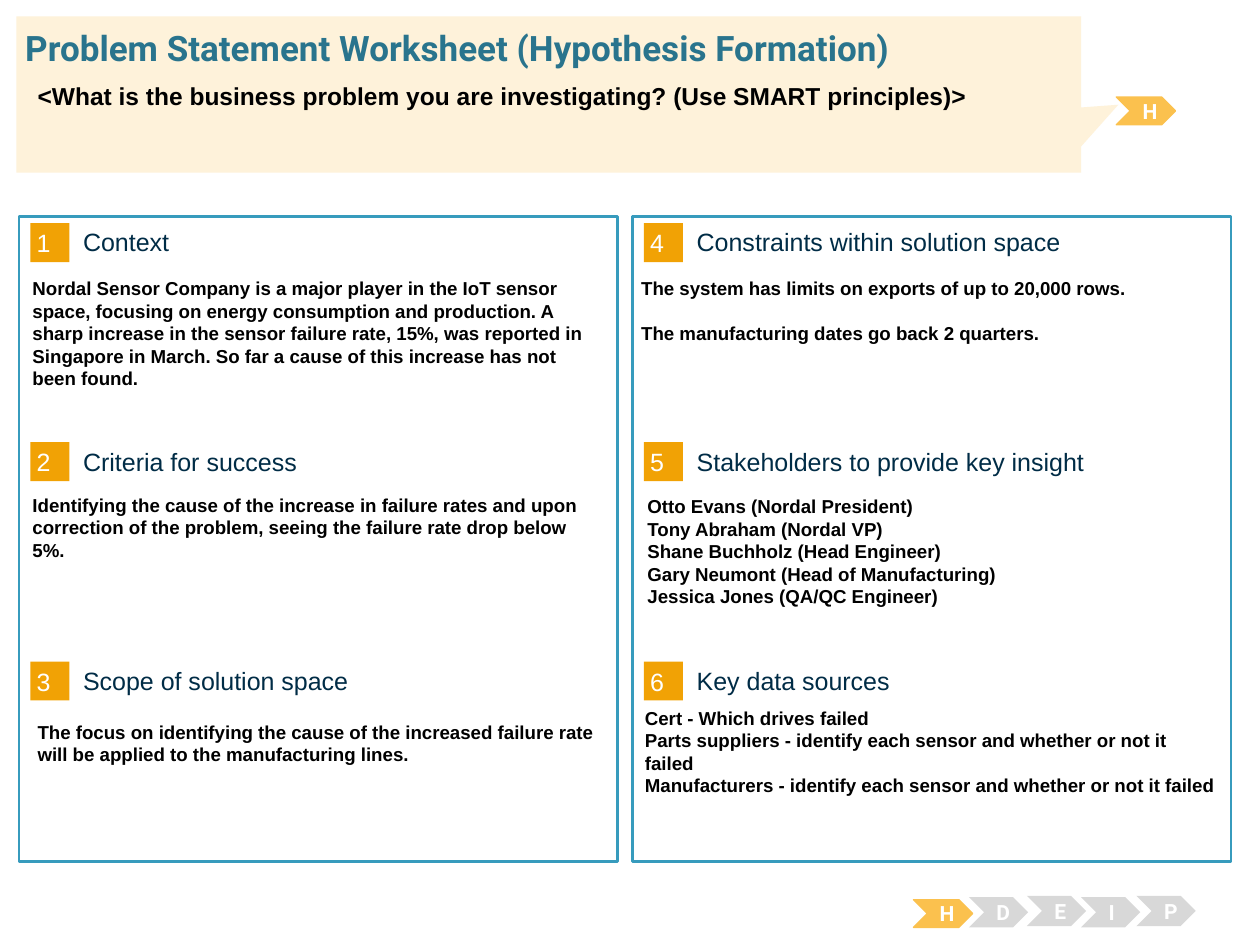
"""Build the problem statement worksheet slide."""
from dataclasses import dataclass

import pptx
import pptx.dml.color
import pptx.enum.shapes
import pptx.enum.text
import pptx.util

Inches = pptx.util.Inches
Shape = pptx.enum.shapes.MSO_SHAPE
Anchor = pptx.enum.text.MSO_ANCHOR
Align = pptx.enum.text.PP_ALIGN


@dataclass(frozen=True)
class Theme:
    body_font: str = "Arial"
    display_font: str = "Roboto"
    title: str = "29748D"
    heading: str = "002C46"
    text: str = "000000"
    white: str = "FFFFFF"
    frame: str = "379BBD"
    badge: str = "F1A205"
    active: str = "FBC14E"
    inactive: str = "D8D8D8"
    callout: str = "FEF2DA"
    title_size: float = 20
    question_size: float = 14
    heading_size: float = 14.3
    body_size: float = 10.7
    step_size: float = 12


THEME = Theme()
COLUMN_LEFTS = (0.15, 5.02)
ROW_TOPS = (1.77, 3.51, 5.25)
HEADINGS = (
    ("Context", "Criteria for success", "Scope of solution space"),
    ("Constraints within solution space", "Stakeholders to provide key insight",
     "Key data sources"),
)
ANSWERS = (
    (0.16, 2.15, 1.36, 0, (
        "Nordal Sensor Company is a major player in the IoT sensor space, focusing on "
        "energy consumption and production. A sharp increase in the sensor failure rate, "
        "15%, was reported in Singapore in March. So far a cause of this increase has not "
        "been found.",)),
    (0.16, 3.87, 1.54, 0, (
        "Identifying the cause of the increase in failure rates and upon correction of the "
        "problem, seeing the failure rate drop below 5%.",)),
    (0.2, 5.67, 0.82, 0, (
        "The focus on identifying the cause of the increased failure rate will be applied "
        "to the manufacturing lines.",)),
    (4.99, 2.15, 1.18, 12.8, (
        "The system has limits on exports of up to 20,000 rows.",
        "The manufacturing dates go back 2 quarters.")),
    (5.04, 3.88, 1.18, 0, (
        "Otto Evans (Nordal President)",
        "Tony Abraham (Nordal VP)",
        "Shane Buchholz (Head Engineer)",
        "Gary Neumont (Head of Manufacturing)",
        "Jessica Jones (QA/QC Engineer)")),
    (5.02, 5.56, 1.18, 0, (
        "Cert - Which drives failed",
        "Parts suppliers - identify each sensor and whether or not it failed",
        "Manufacturers - identify each sensor and whether or not it failed")),
)
STEPS = (("D", 7.69, 7.12), ("E", 8.15, 7.11), ("I", 8.58, 7.12), ("P", 9.02, 7.11))


def rgb(value):
    """Turn a hex string into a colour."""
    return pptx.dml.color.RGBColor.from_string(value)


def write(box, lines, size, color, font=THEME.body_font, bold=False, align=Align.LEFT,
          anchor=Anchor.TOP, inset=None, gap=0):
    """Fill a box with one formatted paragraph per line."""
    frame = box.text_frame
    frame.word_wrap = True
    frame.auto_size = pptx.enum.text.MSO_AUTO_SIZE.NONE
    frame.vertical_anchor = anchor
    if inset is not None:
        frame.margin_left = frame.margin_right = Inches(inset)
        frame.margin_top = frame.margin_bottom = Inches(inset)
    for index, line in enumerate(lines):
        para = frame.add_paragraph() if index else frame.paragraphs[0]
        para.alignment = align
        if index and gap:
            para.space_before = pptx.util.Pt(gap)
        span = para.add_run()
        span.text = line
        span.font.size = pptx.util.Pt(size)
        span.font.name = font
        span.font.bold = bold
        span.font.color.rgb = rgb(color)


def add_block(page, kind, left, top, width, height, fill, line=None, weight=0.75):
    """Add a flat filled shape, outlined only when a line colour is given."""
    block = page.shapes.add_shape(
        kind, Inches(left), Inches(top), Inches(width), Inches(height))
    block.shadow.inherit = False
    block.fill.solid()
    block.fill.fore_color.rgb = rgb(fill)
    if line:
        block.line.color.rgb = rgb(line)
        block.line.width = pptx.util.Pt(weight)
    else:
        block.line.fill.background()
    return block


def add_text(page, left, top, width, height, lines, size, color, **style):
    """Add a text box."""
    box = page.shapes.add_textbox(
        Inches(left), Inches(top), Inches(width), Inches(height))
    write(box, lines, size, color, **style)


def add_step(page, letter, left, top, active=False):
    """Add one lettered chevron of the process tracker."""
    fill, line, height = ((THEME.active, THEME.active, 0.22) if active
                          else (THEME.inactive, None, 0.24))
    chevron = add_block(page, Shape.CHEVRON, left, top, 0.47, height, fill, line)
    write(chevron, [letter], THEME.step_size, THEME.white, font=THEME.display_font,
          bold=True, align=Align.CENTER, anchor=Anchor.MIDDLE)


def add_column(page, left, headings, first_number):
    """Add a framed column with its numbered headings."""
    add_block(page, Shape.RECTANGLE, left, 1.72, 4.75, 5.12, THEME.white, THEME.frame, 1.5)
    for number, (top, heading) in enumerate(zip(ROW_TOPS, headings), first_number):
        badge = add_block(page, Shape.RECTANGLE, left + 0.09, top, 0.31, 0.31, THEME.badge)
        write(badge, [str(number)], THEME.heading_size, THEME.white,
              anchor=Anchor.MIDDLE, inset=0.05)
        add_text(page, left + 0.51, top + 0.03, 3.93, 0.24, [heading],
                 THEME.heading_size, THEME.heading, anchor=Anchor.MIDDLE, inset=0)


def add_header(page):
    """Add the callout with the title and the business question."""
    callout = add_block(page, Shape.RECTANGULAR_CALLOUT, 0.13, 0.13, 8.45, 1.24, THEME.callout)
    callout.adjustments[0] = 0.535
    callout.adjustments[1] = 0.066
    title = page.shapes.title
    title.left, title.top = Inches(0.2), Inches(0.21)
    title.width, title.height = Inches(9.62), Inches(0.34)
    write(title, ["Problem Statement Worksheet (Hypothesis Formation)"], THEME.title_size,
          THEME.title, font=THEME.display_font, bold=True, inset=0)
    title.element.getparent().append(title.element)
    add_text(page, 0.2, 0.59, 9.39, 0.54,
             ["<What is the business problem you are investigating? (Use SMART principles)>"],
             THEME.question_size, THEME.text, bold=True)


def main():
    """Assemble and save the deck."""
    deck = pptx.Presentation()
    deck.slide_width, deck.slide_height = Inches(10), Inches(7.5)
    page = deck.slides.add_slide(deck.slide_layouts[5])
    for index, (left, headings) in enumerate(zip(COLUMN_LEFTS, HEADINGS)):
        add_column(page, left, headings, 1 + index * len(ROW_TOPS))
    for left, top, height, gap, lines in ANSWERS:
        add_text(page, left, top, 4.73, height, lines, THEME.body_size, THEME.text,
                 bold=True, gap=gap)
    add_step(page, "H", 7.25, 7.14, active=True)
    for letter, left, top in STEPS:
        add_step(page, letter, left, top)
    add_step(page, "H", 8.86, 0.77, active=True)
    add_header(page)
    deck.save("out.pptx")


if __name__ == "__main__":
    main()
